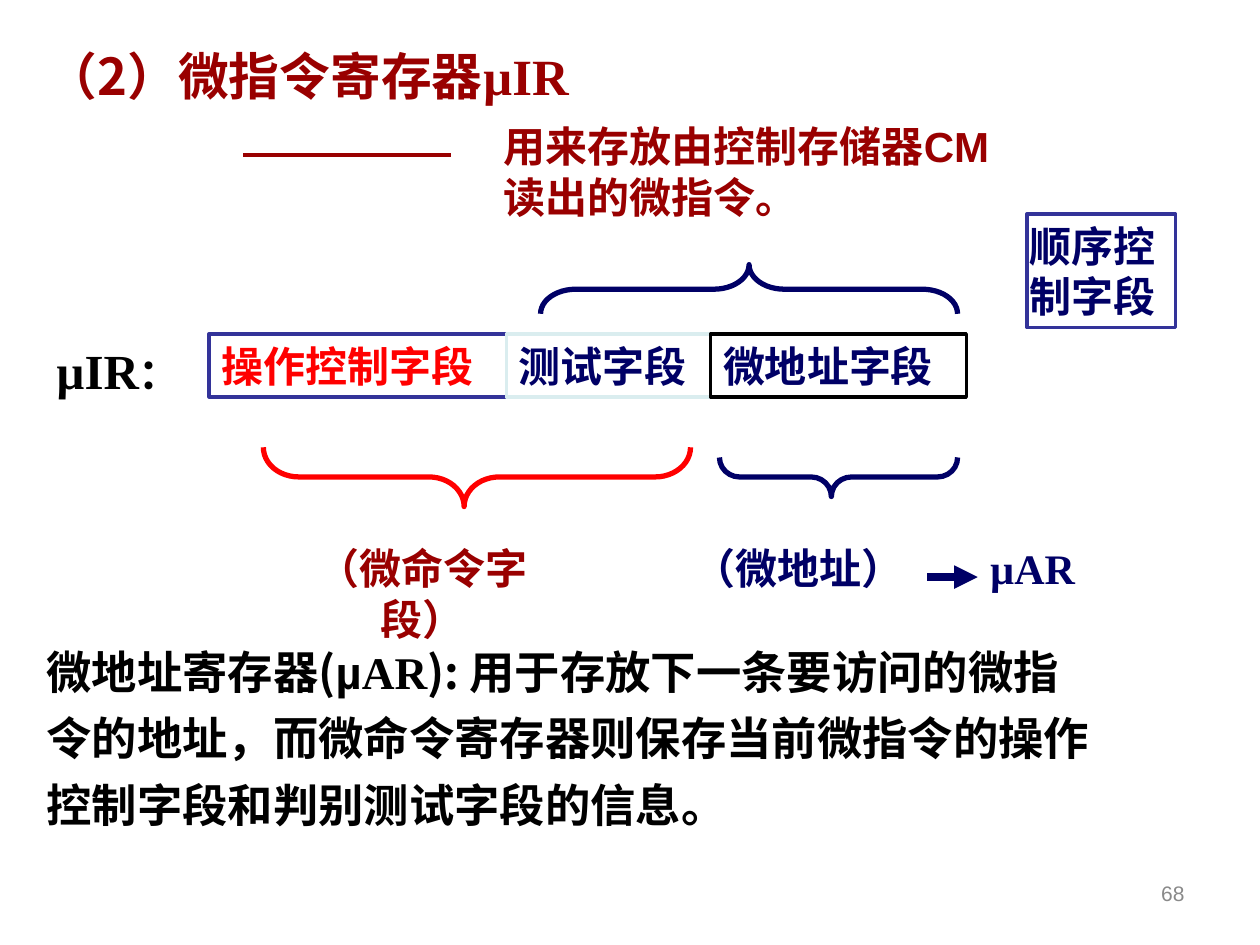
import pptx
import pptx.util
import pptx.dml.color
import pptx.enum.dml
import pptx.enum.shapes
import pptx.enum.text
import pptx.oxml
import pptx.oxml.ns

Pt = pptx.util.Pt
RGBColor = pptx.dml.color.RGBColor
SHAPE = pptx.enum.shapes.MSO_SHAPE
ALIGN = pptx.enum.text.PP_ALIGN
ANCHOR = pptx.enum.text.MSO_ANCHOR
qn = pptx.oxml.ns.qn

RED = RGBColor(0xFF, 0x00, 0x00)
MAROON = RGBColor(0x99, 0x00, 0x00)
NAVY = RGBColor(0x00, 0x00, 0x66)
INDIGO = RGBColor(0x33, 0x33, 0x99)
PALE = RGBColor(0xDA, 0xED, 0xEF)
BLACK = RGBColor(0x00, 0x00, 0x00)
WHITE = RGBColor(0xFF, 0xFF, 0xFF)
GREY = RGBColor(0x89, 0x89, 0x89)

SANS, CJK, SERIF = "Arial", "Noto Sans CJK SC", "Times New Roman"
COLS, ROWS = 100, 75
CELL = pptx.util.Inches(0.1)


def cells(*values):
    return [round(v * CELL) for v in values]


def inside(box, x, y, w, h):
    return box[0] + x, box[1] + y, w, h


def format_font(font, size, color, name, bold=True):
    font.size, font.bold, font.name = Pt(size), bold, name
    font.color.rgb = color


def add_runs(p, runs):
    for text, name in runs:
        r = p.add_run()
        r.text = text
        r.font.name = name
        if name == CJK:
            ea = pptx.oxml.parse_xml(
                f'<a:ea {pptx.oxml.ns.nsdecls("a")} typeface="{CJK}"/>')
            r.font._element.find(qn("a:latin")).addnext(ea)


def write(sp, text, size, color, name=SANS, align=ALIGN.LEFT, margin=0.1,
          wrap=True, bold=True):
    tf = sp.text_frame
    tf.word_wrap = wrap
    tf.vertical_anchor = ANCHOR.TOP
    tf.margin_left = tf.margin_right = pptx.util.Inches(margin)
    p = tf.paragraphs[0]
    p.text = text
    p.alignment = align
    format_font(p.font, size, color, name, bold)
    return tf


def add_label(slide, box, text, color, size=24, **style):
    sp = slide.shapes.add_textbox(*cells(*box))
    return write(sp, text, size, color, **style)


def add_field(slide, box, text, color, border, margin=0.1):
    sp = slide.shapes.add_shape(SHAPE.RECTANGLE, *cells(*box))
    sp.shadow.inherit = False
    sp.fill.solid()
    sp.fill.fore_color.rgb = WHITE
    sp.line.color.rgb = border
    sp.line.width = Pt(2)
    write(sp, text, 24, color, margin=margin)


def add_brace(slide, box, kind, color, radius, tip):
    x, y, w, h = box
    sp = slide.shapes.add_shape(
        kind, *cells(x + (w - h) / 2, y + (h - w) / 2, h, w))
    sp.rotation = 270
    sp.adjustments[0] = radius / h
    sp.adjustments[1] = tip
    sp.shadow.inherit = False
    sp.fill.background()
    sp.line.color.rgb = color
    sp.line.width = Pt(3)


def add_rule(slide, x, y, length, color, width, arrow=False):
    line = slide.shapes.add_connector(
        pptx.enum.shapes.MSO_CONNECTOR.STRAIGHT, *cells(x, y, x + length, y))
    line.line.color.rgb = color
    line.line.width = Pt(width)
    sppr = line._element.spPr
    if arrow:
        pptx.oxml.ns.nsdecls("a")
        sppr.find(qn("a:ln")).append(pptx.oxml.parse_xml(
            f'<a:tailEnd {pptx.oxml.ns.nsdecls("a")} type="triangle"/>'))
    sppr.append(pptx.oxml.parse_xml(
        f'<a:effectLst {pptx.oxml.ns.nsdecls("a")}/>'))


def fill_title(slide, box):
    sp = slide.shapes.title
    sp.left, sp.top, sp.width, sp.height = cells(*box)
    tf = sp.text_frame
    tf.vertical_anchor = ANCHOR.MIDDLE
    p = tf.paragraphs[0]
    p.alignment = ALIGN.LEFT
    format_font(p.font, 29, MAROON, CJK)
    add_runs(p, [("（2）微指令寄存器", CJK), ("µIR", SERIF)])


def add_purpose(slide, box):
    add_rule(slide, box[0], box[1] + 3.2, 16.5, MAROON, 2.25)
    add_label(slide, inside(box, 19.7, 0, 41.7, 9),
              "用来存放由控制存储器CM读出的微指令。", MAROON)


def add_register(slide, box):
    tf = add_label(slide, inside(box, 0, 9.5, 15.3, 5.7), "", BLACK, name=SERIF)
    add_runs(tf.paragraphs[0], [("µIR", SERIF), ("：", SERIF)])
    tf.paragraphs[0].runs[0].font.size = Pt(28)

    x = 13.1
    for text, width, color, border in (
            ("操作控制字段", 23.6, RED, INDIGO),
            ("测试字段", 16.2, NAVY, PALE),
            ("微地址字段", 20.3, NAVY, BLACK)):
        add_field(slide, inside(box, x, 9.5, width, 5), text, color, border)
        x += width
    add_field(slide, inside(box, 78, 0, 11.8, 9), "顺序控制字段", NAVY, INDIGO,
              margin=0.02)

    for part, kind, color, radius, tip in (
            ((39.4, 4, 33.1, 3.9), SHAPE.RIGHT_BRACE, NAVY, 2.8, 0.5),
            ((17.4, 18.5, 33.9, 4.7), SHAPE.LEFT_BRACE, RED, 2.8, 0.47),
            ((53.6, 19.3, 18.9, 3.1), SHAPE.LEFT_BRACE, NAVY, 1.6, 0.47)):
        add_brace(slide, inside(box, *part), kind, color, radius, tip)

    add_label(slide, inside(box, 17.4, 25.6, 25.2, 9), "（微命令字段）", MAROON,
              align=ALIGN.CENTER)
    add_label(slide, inside(box, 48.9, 25.6, 22, 5), "（微地址）", NAVY,
              align=ALIGN.CENTER)
    add_rule(slide, box[0] + 70.1, box[1] + 28.8, 4, NAVY, 4.5, arrow=True)
    add_label(slide, inside(box, 74.1, 25.6, 8.7, 5), "µAR", NAVY, name=SERIF,
              wrap=False)


def add_explanation(slide, box):
    tf = slide.shapes.add_textbox(*cells(*box)).text_frame
    tf.word_wrap = True
    lines = (
        [("微地址寄存器(", CJK), ("µ", SANS), ("AR", SERIF),
         ("): 用于存放下一条要访问的微指", CJK)],
        [("令的地址，而微命令寄存器则保存当前微指令的操作", CJK)],
        [("控制字段和判别测试字段的信息。", CJK)])
    for i, runs in enumerate(lines):
        p = tf.add_paragraph() if i else tf.paragraphs[0]
        p.space_before = Pt(7 if i else 0)
        format_font(p.font, 25.9, BLACK, CJK)
        add_runs(p, runs)


def add_page_number(slide, box):
    tf = add_label(slide, box, "68", GREY, size=12, align=ALIGN.RIGHT,
                   bold=False)
    tf.vertical_anchor = ANCHOR.MIDDLE


def main():
    prs = pptx.Presentation()
    prs.slide_width, prs.slide_height = cells(COLS, ROWS)
    slide = prs.slides.add_slide(prs.slide_layouts[5])
    fill_title(slide, (2.7, 2.8, 90, 6.3))
    add_purpose(slide, (19.3, 9.1, 61.4, 9))
    add_register(slide, (3.5, 17, 89.8, 34.6))
    add_explanation(slide, (2.7, 50.6, 93.7, 19.7))
    add_page_number(slide, (71.7, 68.3, 23.3, 5.2))
    prs.save("out.pptx")


if __name__ == "__main__":
    main()
